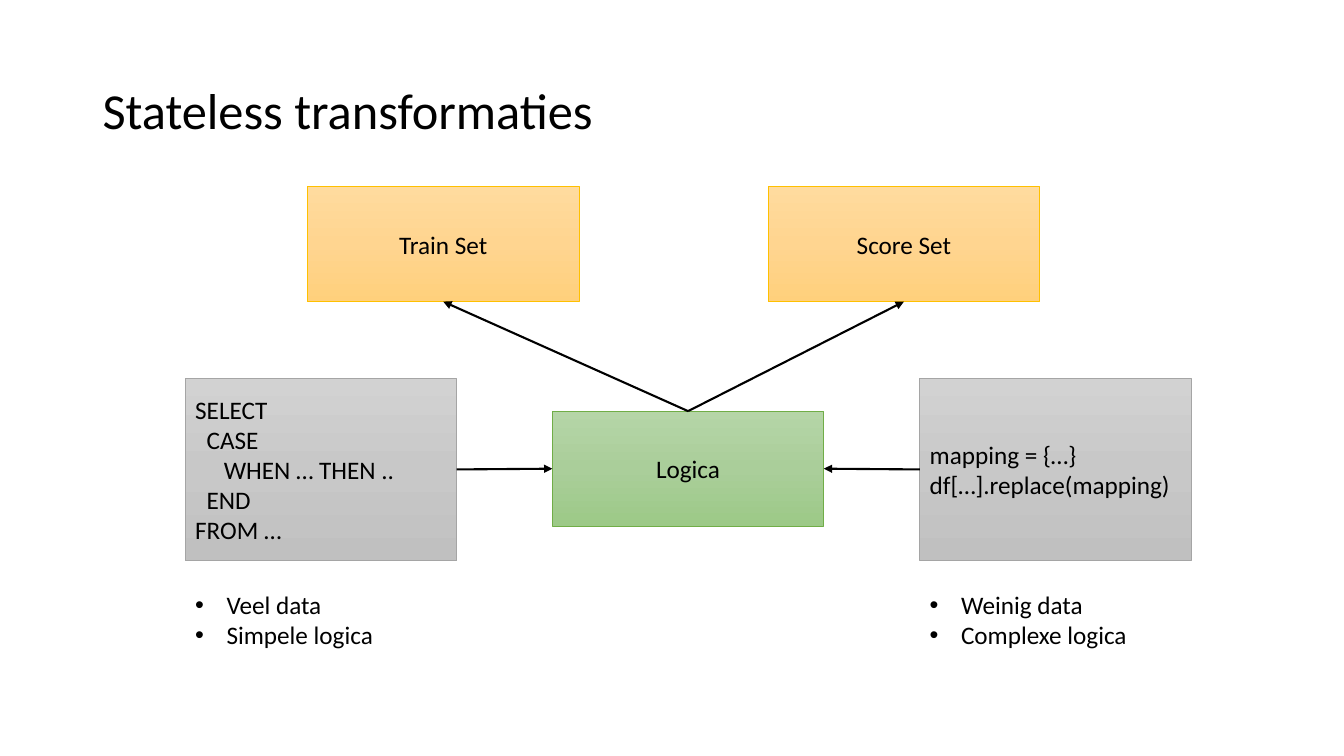
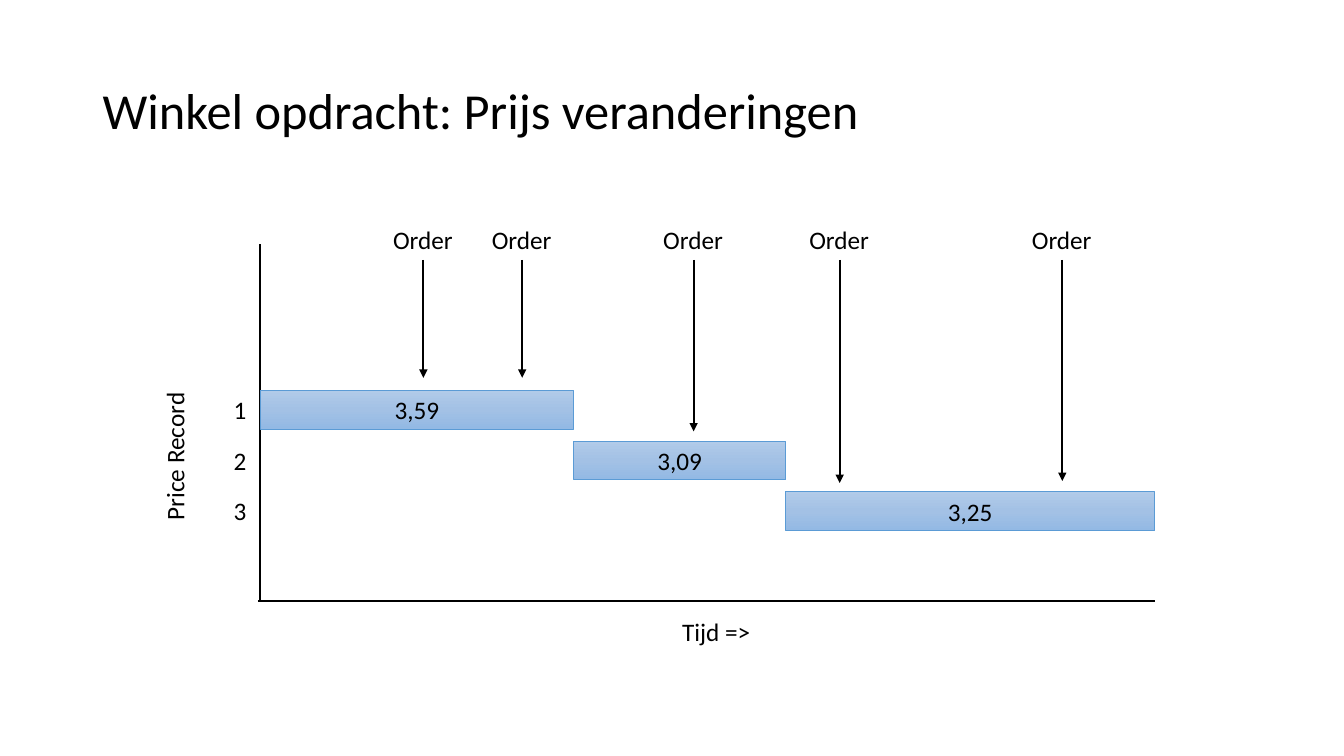
"""Build two slides on stateless transformations and price changes."""
import copy
import pptx
import pptx.util
import pptx.dml.color
import pptx.enum.shapes
import pptx.enum.text
import pptx.oxml.ns
from lxml import etree

Cm, Pt, qn = pptx.util.Cm, pptx.util.Pt, pptx.oxml.ns.qn
LEFT = pptx.enum.text.PP_ALIGN.LEFT
CENTER = pptx.enum.text.PP_ALIGN.CENTER
TOP = pptx.enum.text.MSO_ANCHOR.TOP
MIDDLE = pptx.enum.text.MSO_ANCHOR.MIDDLE

FONT, BLACK = "Calibri", "000000"
ORANGE = (("FFDB9E", "FFD590", "FFD07C"), "FFC000")
GREEN = (("B5D5A7", "AACE9A", "9CC987"), "70AD47")
GREY = (("D2D2D2", "C8C8C8", "C0C0C0"), "A5A5A5")
BLUE = (("B1CBE9", "A3C1E5", "93B9E4"), "5B9BD5")

TITLES = ["Stateless transformaties", "Winkel opdracht: Prijs veranderingen"]
DATA_SETS = [("Train Set", 7.75), ("Score Set", 19.36)]
APPROACHES = [
    (4.67, [("SELECT", 0), ("CASE", 0.29), ("WHEN … THEN ..", 0.72), ("END", 0.29), ("FROM …", 0)],
     ["Veel data", "Simpele logica"]),
    (23.18, [("mapping = {…}", 0), ("df[…].replace(mapping)", 0)],
     ["Weinig data", "Complexe logica"]),
]
PRICES = [("3,59", 7.91), ("3,09", 5.34), ("3,25", 9.3)]
ORDERS = [(10.67, 9.52), (13.16, 9.52), (17.48, 10.87), (21.16, 12.17), (26.77, 12.12)]

BOX_W, BOX_H, CODE_H = 6.84, 2.9, 4.6
LABEL_H, BAR_H, ROW_STEP = 1.03, 0.98, 1.28
AXIS_X, AXIS_TOP, AXIS_Y = 6.55, 6.15, 15.14
BAR_TOP, ORDER_TOP, ORDER_W = 9.83, 5.52, 2.03


def rgb(value):
    return pptx.dml.color.RGBColor.from_string(value)


def write(sp, lines, size=18, align=LEFT, anchor=MIDDLE):
    tf = sp.text_frame
    tf.text = "\n".join(lines)
    tf.vertical_anchor = anchor
    for p in tf.paragraphs:
        p.alignment = align
        for r in p.runs:
            r.font.name, r.font.size = FONT, Pt(size)
            r.font.color.rgb = rgb(BLACK)
    return tf


def add_slide(prs, title):
    s = prs.slides.add_slide(prs.slide_layouts[5])
    sp = s.shapes.title
    sp.left, sp.top, sp.width, sp.height = Cm(2.33), Cm(1.01), Cm(29.21), Cm(3.68)
    tf = write(sp, [title], size=36)
    tf.paragraphs[0].line_spacing = 0.9
    return s


def add_box(s, lines, x, y, w, h, style, align=CENTER):
    sp = s.shapes.add_shape(pptx.enum.shapes.MSO_SHAPE.RECTANGLE, Cm(x), Cm(y), Cm(w), Cm(h))
    sp.shadow.inherit = False
    colors, edge = style
    sp.fill.gradient()
    sp.fill.gradient_angle = 270
    stops = next(sp._element.iter(qn("a:gsLst")))
    stops.insert(1, copy.deepcopy(stops[0]))
    stops[1].set("pos", "50000")
    for stop, color in zip(sp.fill.gradient_stops, colors):
        stop.color.rgb = rgb(color)
    sp.line.color.rgb = rgb(edge)
    sp.line.width = Pt(0.5)
    write(sp, lines, align=align)
    return sp


def add_text(s, lines, x, y, w, h, wrap=False):
    sp = s.shapes.add_textbox(Cm(x), Cm(y), Cm(w), Cm(h))
    tf = write(sp, lines, anchor=TOP)
    tf.word_wrap = wrap
    return sp


def add_line(s, x1=0, y1=0, x2=0, y2=0, arrow=False):
    line = s.shapes.add_connector(pptx.enum.shapes.MSO_CONNECTOR.STRAIGHT,
                                  Cm(x1), Cm(y1), Cm(x2), Cm(y2))
    line.line.color.rgb = rgb(BLACK)
    line.line.width = Pt(1.5)
    sp_pr = line._element.spPr
    if arrow:
        etree.SubElement(sp_pr.find(qn("a:ln")), qn("a:tailEnd"), type="triangle")
    etree.SubElement(sp_pr, qn("a:effectLst"))
    return line


def link(s, start, start_site, end, end_site):
    line = add_line(s, arrow=True)
    line.begin_connect(start, start_site)
    line.end_connect(end, end_site)


def indent(p, left, hanging=0):
    p_pr = p._p.get_or_add_pPr()
    p_pr.set("marL", str(Cm(left)))
    p_pr.set("indent", str(-Cm(hanging)))
    return p_pr


def build_transformations(prs):
    s = add_slide(prs, TITLES[0])
    logic = add_box(s, ["Logica"], 13.92, 10.36, BOX_W, BOX_H, GREEN)
    for name, x in DATA_SETS:
        data_set = add_box(s, [name], x, 4.7, BOX_W, BOX_H, ORANGE)
        link(s, logic, 0, data_set, 2)
    for (x, code, traits), (start, end) in zip(APPROACHES, [(3, 1), (1, 3)]):
        box = add_box(s, [text for text, _ in code], x, 9.53, BOX_W, CODE_H, GREY, LEFT)
        for p, (_, depth) in zip(box.text_frame.paragraphs, code):
            indent(p, depth)
        link(s, box, start, logic, end)
        notes = add_text(s, traits, x, 14.73, BOX_W, 1.8, wrap=True)
        for p in notes.text_frame.paragraphs:
            p_pr = indent(p, 0.79, 0.79)
            etree.SubElement(p_pr, qn("a:buFont"), typeface="Arial")
            etree.SubElement(p_pr, qn("a:buChar"), char="•")


def build_prices(prs):
    s = add_slide(prs, TITLES[1])
    axis_end = AXIS_X + sum(width for _, width in PRICES)
    add_line(s, AXIS_X, AXIS_TOP, AXIS_X, AXIS_Y)
    add_line(s, AXIS_X - 0.05, AXIS_Y, axis_end, AXIS_Y)
    add_text(s, ["Tijd =>"], 16.94, 15.4, 2.26, LABEL_H)
    label = add_text(s, ["Price Record"], 3.89, 9.86, 1.27, 3.5)
    label.text_frame._txBody.bodyPr.set("vert", "vert270")
    x = AXIS_X
    for i, (price, width) in enumerate(PRICES):
        y = BAR_TOP + i * ROW_STEP
        add_box(s, [price], x, y, width, BAR_H, BLUE)
        add_text(s, [str(i + 1)], 5.64, y + (BAR_H - LABEL_H) / 2, 0.84, LABEL_H)
        x += width
    for x, tip in ORDERS:
        add_line(s, x, ORDER_TOP + LABEL_H, x, tip, arrow=True)
        add_text(s, ["Order"], x - ORDER_W / 2, ORDER_TOP, ORDER_W, LABEL_H)


prs = pptx.Presentation()
prs.slide_width, prs.slide_height = Cm(33.87), Cm(19.05)
build_transformations(prs)
build_prices(prs)
prs.save("out.pptx")
